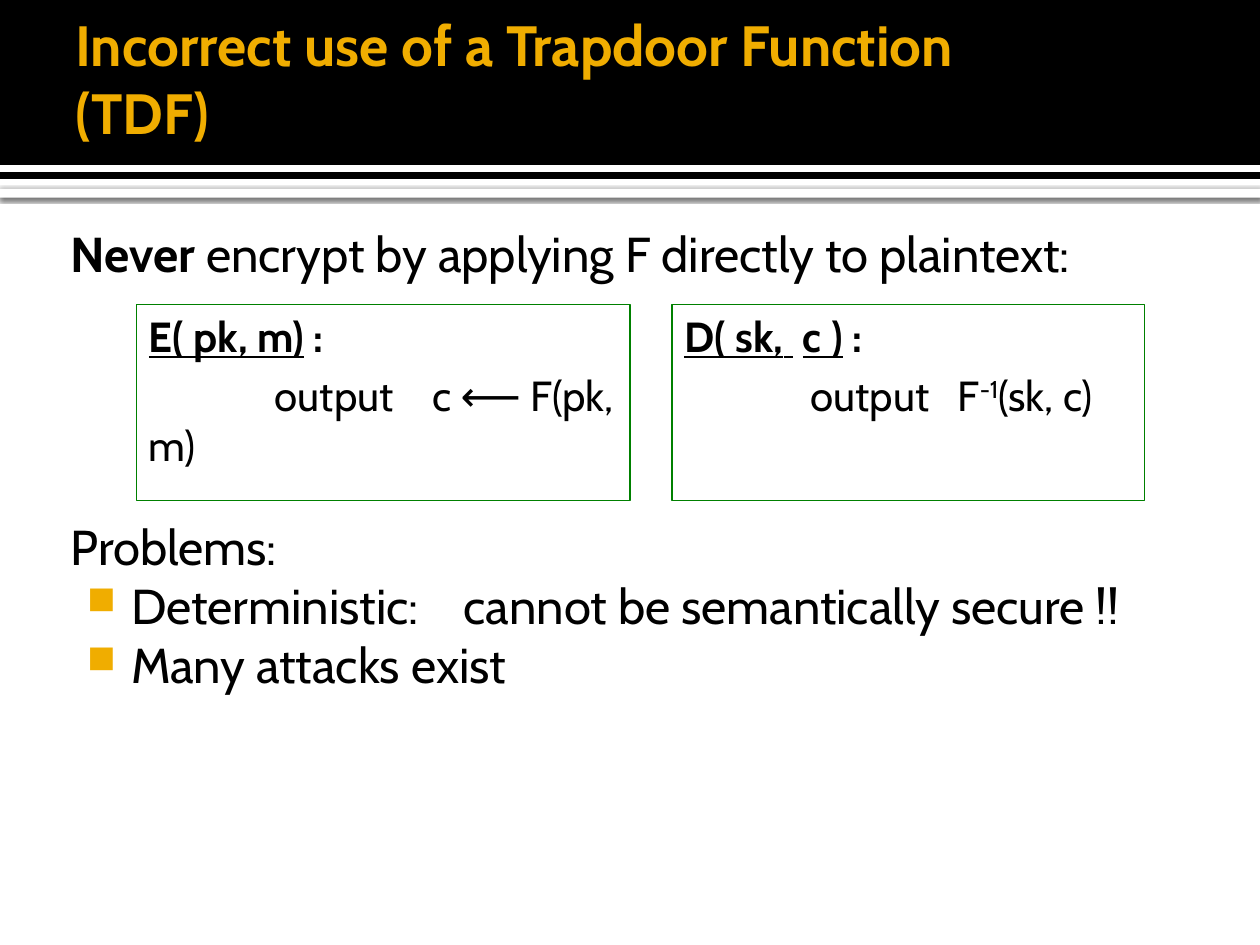
from dataclasses import dataclass

import pptx
import pptx.dml.color
import pptx.enum.shapes
import pptx.enum.text
import pptx.oxml
import pptx.oxml.ns
import pptx.util
from lxml import etree

Pt = pptx.util.Pt
RGB = pptx.dml.color.RGBColor
RECTANGLE = pptx.enum.shapes.MSO_SHAPE.RECTANGLE
ANCHOR = pptx.enum.text.MSO_ANCHOR


@dataclass(frozen=True)
class Theme:
    font: str = "Cabin"
    black: RGB = RGB(0, 0, 0)
    white: RGB = RGB(255, 255, 255)
    gold: RGB = RGB(0xF0, 0xAD, 0x00)
    green: RGB = RGB(0, 0x80, 0)
    title: float = 32.4
    body: float = 28
    algorithm: float = 24


THEME = Theme()


def add_xml(parent, tag, **attributes):
    return etree.SubElement(parent, pptx.oxml.ns.qn(tag), attributes)


def add_run(paragraph, text, size, color=THEME.black, bold=False, underline=False):
    run = paragraph.add_run()
    run.text = text
    run.font.name = THEME.font
    run.font.size = Pt(size)
    run.font.color.rgb = color
    run.font.bold = bold
    run.font.underline = underline
    return run


def add_gap(paragraph, size, spaces, **style):
    """Add one space widened to the width of several."""
    gap = add_run(paragraph, " ", size, **style)
    extra = (spaces - 1) * 0.23 * size
    gap.font._element.set("spc", str(round(extra * 100)))


def prepare_frame(shape, insets, anchor=ANCHOR.TOP):
    frame = shape.text_frame
    frame.word_wrap = True
    frame.vertical_anchor = anchor
    (frame.margin_left, frame.margin_top,
     frame.margin_right, frame.margin_bottom) = map(Pt, insets)
    frame.paragraphs[0].alignment = pptx.enum.text.PP_ALIGN.LEFT
    return frame


def add_text_box(slide, box, insets, anchor=ANCHOR.TOP):
    return prepare_frame(slide.shapes.add_textbox(*map(Pt, box)), insets, anchor)


def add_rectangle(slide, box, fill=None, line=None):
    rectangle = slide.shapes.add_shape(RECTANGLE, *map(Pt, box))
    rectangle.shadow.inherit = False
    if fill is None:
        rectangle.fill.background()
    else:
        rectangle.fill.solid()
        rectangle.fill.fore_color.rgb = fill
    if line is None:
        rectangle.line.fill.background()
    else:
        rectangle.line.color.rgb = line
        rectangle.line.width = Pt(0.75)
    return rectangle


def add_header(slide, box, title):
    left, top, width, height = box
    ledge = add_rectangle(slide, (left, top + 108, width, 5), THEME.white)
    effects = ledge._element.spPr.find(pptx.oxml.ns.qn("a:effectLst"))
    shadow = add_xml(effects, "a:outerShdw", blurRad=str(Pt(2.5)), dist=str(Pt(0.8)),
                     dir="5400000", algn="tl", rotWithShape="0")
    add_xml(add_xml(shadow, "a:srgbClr", val=str(THEME.black)), "a:alpha", val="60000")

    add_rectangle(slide, box, THEME.black)
    stripe_y = Pt(top + 96.1)
    stripe = slide.shapes.add_connector(pptx.enum.shapes.MSO_CONNECTOR.STRAIGHT,
                                        Pt(left), stripe_y, Pt(left + width), stripe_y)
    stripe.line.color.rgb = THEME.white
    stripe.line.width = Pt(4)
    add_xml(stripe._element.spPr, "a:effectLst")

    frame = add_text_box(slide, (left + 36, top + 5.76, 594, 77.76),
                         (7.2, 3.6, 3.6, 3.6), ANCHOR.MIDDLE)
    add_run(frame.paragraphs[0], title, THEME.title, THEME.gold, bold=True)


def add_warning(slide, box):
    warning = add_text_box(slide, box, (4.32, 7.2, 7.2, 3.6)).paragraphs[0]
    add_run(warning, "Never", THEME.body, bold=True)
    add_run(warning, " encrypt by applying F directly to plaintext:", THEME.body)


def add_algorithm(slide, box, signature, steps):
    """Outline a box with an underlined signature over one indented output line.

    Both parts are lists of texts; a number stands for a gap of that many spaces,
    and a tuple holds a superscript.
    """
    frame = prepare_frame(add_rectangle(slide, box, line=THEME.green),
                          (7.2, 3.6, 7.2, 3.6))
    size = THEME.algorithm
    heading = frame.paragraphs[0]
    add_parts(heading, signature, size, bold=True, underline=True)
    add_run(heading, " :", size, bold=True)

    output = frame.add_paragraph()
    output.alignment = pptx.enum.text.PP_ALIGN.LEFT
    output.space_before = Pt(0.2 * size)
    tabs = add_xml(output._p.get_or_add_pPr(), "a:tabLst")
    add_xml(tabs, "a:tab", pos=str(Pt(72)), algn="l")
    add_parts(output, ["\t", *steps], size)


def add_parts(paragraph, parts, size, **style):
    for part in parts:
        if isinstance(part, int):
            add_gap(paragraph, size, part, **style)
        elif isinstance(part, tuple):
            superscript = add_run(paragraph, part[0], size, **style)
            superscript.font._element.set("baseline", "30000")
        else:
            add_run(paragraph, part, size, **style)


def add_problems(slide, box, heading, problems):
    frame = add_text_box(slide, box, (4.32, 7.2, 7.2, 3.6))
    add_run(frame.paragraphs[0], heading, THEME.body)
    for problem in problems:
        item = frame.add_paragraph()
        properties = item._p.get_or_add_pPr()
        properties.set("marL", str(Pt(34.56)))
        properties.set("indent", str(Pt(-25.2)))
        add_xml(add_xml(properties, "a:buClr"), "a:srgbClr", val=str(THEME.gold))
        add_xml(properties, "a:buSzPct", val="80000")
        add_xml(properties, "a:buChar", char="■")
        add_parts(item, problem, THEME.body)


def main():
    deck = pptx.Presentation()
    deck.slide_width, deck.slide_height = Pt(720), Pt(540)
    slide = deck.slides.add_slide(deck.slide_layouts[6])

    add_header(slide, (0, 0, 720, 102.24), "Incorrect use of a Trapdoor Function (TDF)")
    add_warning(slide, (36, 120.24, 666, 46))
    algorithm_top, algorithm_height = 174, 112
    add_algorithm(slide, (78, algorithm_top, 282, algorithm_height),
                  ["E( pk, m)"], ["output", 4, "c ⟵ F(pk, m)"])
    add_algorithm(slide, (384, algorithm_top, 270, algorithm_height),
                  ["D( sk,", 2, "c )"], ["output", 3, "F", ("-1",), "(sk, c)"])
    add_problems(slide, (36, 288.24, 666, 216), "Problems:",
                 [["Deterministic:", 4, "cannot be semantically secure !!"],
                  ["Many attacks exist"]])
    deck.save("out.pptx")


if __name__ == "__main__":
    main()
